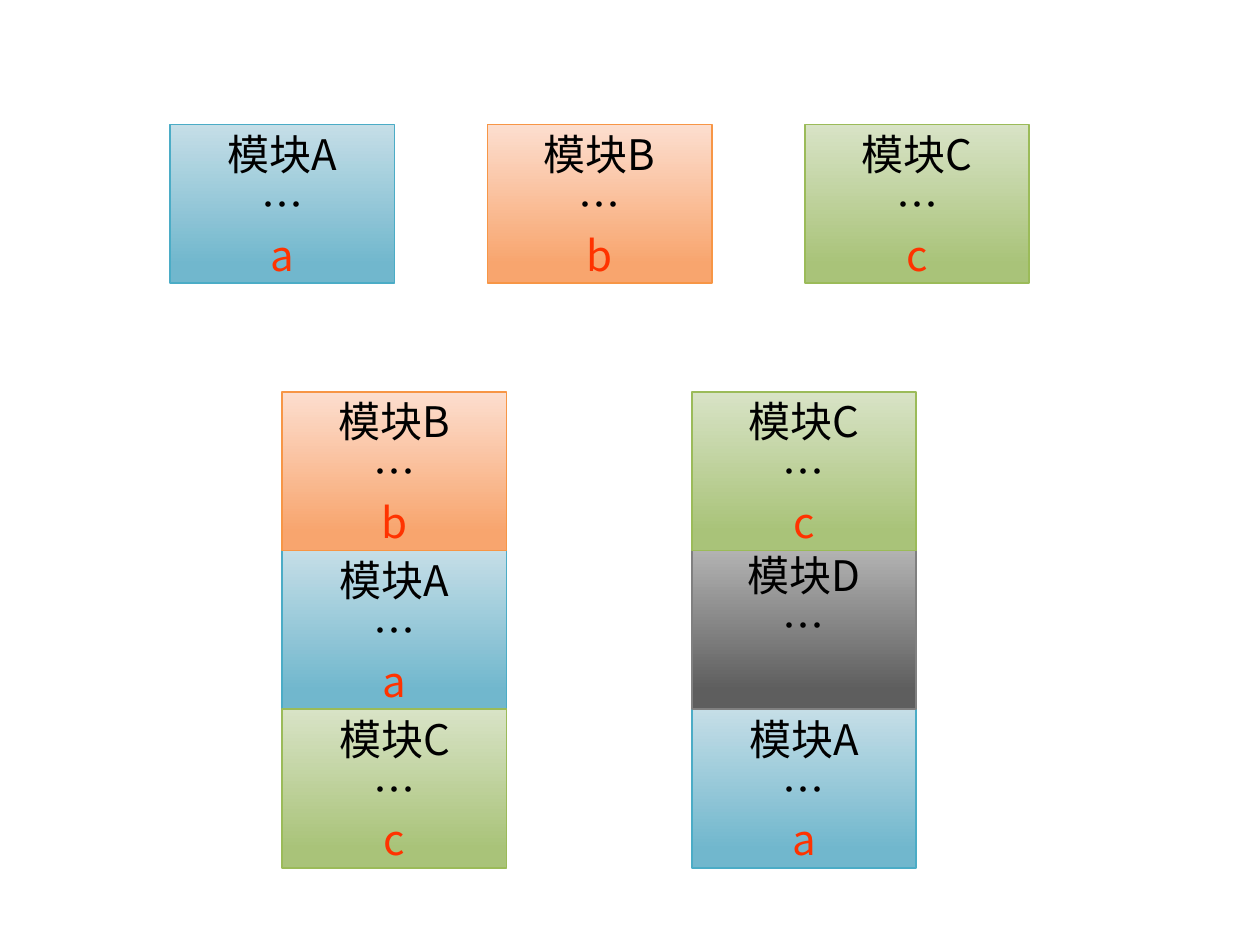
from pptx import Presentation
from pptx.dml.color import RGBColor
from pptx.enum import shapes, text
from pptx.oxml.ns import qn
from pptx.util import Pt

FONT = "Noto Sans CJK SC"
SIZE = 24
LINE_HEIGHT = 34.75
BLACK = RGBColor(0x00, 0x00, 0x00)
RED = RGBColor(0xFF, 0x33, 0x00)
BLUE = (RGBColor(0xC5, 0xDE, 0xE7), RGBColor(0x71, 0xB7, 0xCD), RGBColor(0x4B, 0xAC, 0xC6))
ORANGE = (RGBColor(0xFC, 0xDE, 0xCF), RGBColor(0xF8, 0xA5, 0x6E), RGBColor(0xF7, 0x96, 0x46))
GREEN = (RGBColor(0xD8, 0xE3, 0xC6), RGBColor(0xA9, 0xC3, 0x79), RGBColor(0x9B, 0xBB, 0x59))
GREY = (RGBColor(0xB2, 0xB2, 0xB2), RGBColor(0x5E, 0x5E, 0x5E), RGBColor(0x80, 0x80, 0x80))

MODULES = {
    "A": (["模块A", "…", "a"], BLUE),
    "B": (["模块B", "…", "b"], ORANGE),
    "C": (["模块C", "…", "c"], GREEN),
    "D": (["模块D", "…"], GREY),
}
SOURCES = ["A", "B", "C"]
STACKS = [
    (161.3, [("A", 1), ("B", 0), ("C", 2)]),
    (395.3, [("A", 2), ("D", 1), ("C", 0)]),
]

BOX_W, BOX_H = 128.2, 90.7
SOURCE_LEFT, SOURCE_TOP, SOURCE_STEP = 97.2, 71.2, 181.4
STACK_TOP = 223.9


def add_text(p, content, size=SIZE, color=BLACK, font=FONT):
    p.alignment = text.PP_ALIGN.CENTER
    r = p.add_run()
    r.text = content
    r.font.size = Pt(size)
    r.font.color.rgb = color
    r.font.name = font
    ea = r.font._element.makeelement(qn("a:ea"), {"typeface": font})
    r.font._element.find(qn("a:latin")).addnext(ea)


def add_module(s, name, left, top):
    lines, (light, dark, border) = MODULES[name]
    sp = s.shapes.add_shape(shapes.MSO_SHAPE.RECTANGLE, Pt(left), Pt(top), Pt(BOX_W), Pt(BOX_H))
    sp.shadow.inherit = False
    sp.fill.gradient()
    sp.fill.gradient_angle = 270
    for stop, color, position in zip(sp.fill.gradient_stops, (light, dark), (0, 0.88)):
        stop.color.rgb = color
        stop.position = position
    sp.line.color.rgb = border
    sp.line.width = Pt(1)

    tf = sp.text_frame
    tf.word_wrap = False
    tf.vertical_anchor = text.MSO_ANCHOR.MIDDLE
    tf.margin_bottom = Pt(3.6 + LINE_HEIGHT * (3 - len(lines)))
    for i, line in enumerate(lines):
        p = tf.add_paragraph() if i else tf.paragraphs[0]
        add_text(p, line, color=RED if i == 2 else BLACK)


def main():
    prs = Presentation()
    prs.slide_width, prs.slide_height = Pt(720), Pt(540)
    s = prs.slides.add_slide(prs.slide_layouts[6])
    for i, name in enumerate(SOURCES):
        add_module(s, name, SOURCE_LEFT + i * SOURCE_STEP, SOURCE_TOP)
    for left, stack in STACKS:
        for name, row in stack:
            add_module(s, name, left, STACK_TOP + row * BOX_H)
    prs.save("out.pptx")


if __name__ == "__main__":
    main()
